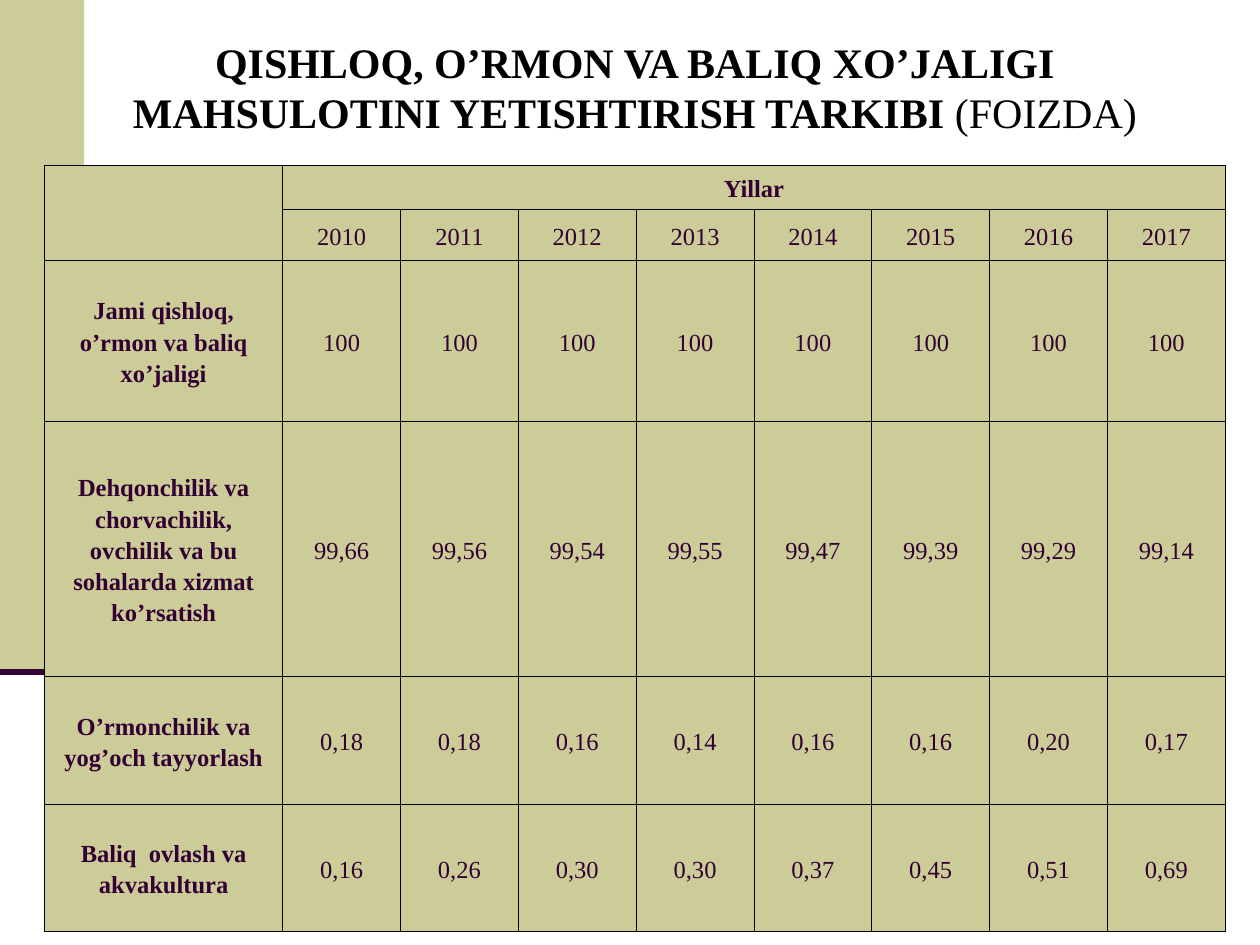
import lxml.etree
import pptx
import pptx.dml.color
import pptx.enum.shapes
import pptx.enum.text
import pptx.oxml
import pptx.oxml.ns
import pptx.util

Cm = pptx.util.Cm
Pt = pptx.util.Pt
ALIGN = pptx.enum.text.PP_ALIGN
ANCHOR = pptx.enum.text.MSO_ANCHOR

COLOURS = {"sand": "CCCC99", "plum": "330033", "black": "000000"}
FONT = "Times New Roman"
TITLE = [
    ("QISHLOQ, O’RMON VA BALIQ XO’JALIGI MAHSULOTINI YETISHTIRISH TARKIBI ", True),
    ("(FOIZDA)", False),
]
YEARS = [str(year) for year in range(2010, 2018)]
SECTORS = {
    "Jami qishloq, o’rmon va baliq xo’jaligi": ["100"] * len(YEARS),
    "Dehqonchilik va chorvachilik, ovchilik va bu sohalarda xizmat ko’rsatish":
        ["99,66", "99,56", "99,54", "99,55", "99,47", "99,39", "99,29", "99,14"],
    "O’rmonchilik va yog’och tayyorlash":
        ["0,18", "0,18", "0,16", "0,14", "0,16", "0,16", "0,20", "0,17"],
    "Baliq  ovlash va akvakultura":
        ["0,16", "0,26", "0,30", "0,30", "0,37", "0,45", "0,51", "0,69"],
}
ROW_HEIGHTS = [0.69, 0.69, 3.23, 5.16, 2.57, 2.57]
SECTOR_WIDTH = 4.8
CELL_FORMAT = {
    "vertical_anchor": ANCHOR.MIDDLE,
    "margin_left": Cm(0.18), "margin_right": Cm(0.18),
    "margin_top": Cm(0.13), "margin_bottom": Cm(0.13),
}
TITLE_FORMAT = {
    "word_wrap": True,
    "auto_size": pptx.enum.text.MSO_AUTO_SIZE.SHAPE_TO_FIT_TEXT,
    "vertical_anchor": ANCHOR.MIDDLE,
}


def rgb(name):
    """Return the named colour."""
    return pptx.dml.color.RGBColor.from_string(COLOURS[name])


def apply_format(target, values):
    """Set each attribute of the target from a dict."""
    for attribute, value in values.items():
        setattr(target, attribute, value)


def add_run(paragraph, text, size, colour, bold):
    """Append one formatted run to a paragraph."""
    run = paragraph.add_run()
    run.text = text
    apply_format(run.font, {"name": FONT, "size": Pt(size), "bold": bold})
    run.font.color.rgb = rgb(colour)


def add_border(cell):
    """Draw a thin black line on all four sides of a cell."""
    properties = cell._tc.get_or_add_tcPr()
    for side in ("lnL", "lnR", "lnT", "lnB"):
        properties.append(pptx.oxml.parse_xml(
            f'<a:{side} {pptx.oxml.ns.nsdecls("a")} w="{Pt(0.45)}"><a:solidFill>'
            f'<a:srgbClr val="{COLOURS["black"]}"/></a:solidFill></a:{side}>'))


def add_side_band(slide, left, top, width, height):
    """Place the sand band and the plum rule along its foot."""
    band = slide.shapes.add_shape(
        pptx.enum.shapes.MSO_SHAPE.RECTANGLE, Cm(left), Cm(top), Cm(width), Cm(height))
    band.shadow.inherit = False
    band.fill.solid()
    band.fill.fore_color.rgb = rgb("sand")
    band.line.fill.background()
    foot = Cm(top + height)
    rule = slide.shapes.add_connector(
        pptx.enum.shapes.MSO_CONNECTOR.STRAIGHT, Cm(left), foot, Cm(left + width), foot)
    rule.line.color.rgb = rgb("plum")
    rule.line.width = Pt(3.5)
    lxml.etree.SubElement(rule._element.spPr, pptx.oxml.ns.qn("a:effectLst"))


def add_title(slide, left, top, width, height):
    """Place the centred heading."""
    heading = slide.shapes.add_textbox(Cm(left), Cm(top), Cm(width), Cm(height)).text_frame
    apply_format(heading, TITLE_FORMAT)
    paragraph = heading.paragraphs[0]
    paragraph.alignment = ALIGN.CENTER
    for text, bold in TITLE:
        add_run(paragraph, text, 24, "black", bold)


def fill_cell(cell, text, bold):
    """Format one table cell and write its text."""
    add_border(cell)
    cell.fill.solid()
    cell.fill.fore_color.rgb = rgb("sand")
    apply_format(cell, CELL_FORMAT)
    paragraph = cell.text_frame.paragraphs[0]
    apply_format(paragraph, {"alignment": ALIGN.CENTER, "line_spacing": 1.15})
    if text:
        add_run(paragraph, text, 14, "plum", bold)


def add_shares_table(slide, left, top, width, height):
    """Place the table of sector shares by year."""
    rows = [["", "Yillar"] + [""] * (len(YEARS) - 1), [""] + YEARS]
    rows += [[sector] + shares for sector, shares in SECTORS.items()]
    shares_table = slide.shapes.add_table(
        len(rows), len(YEARS) + 1, Cm(left), Cm(top), Cm(width), Cm(height)).table
    apply_format(shares_table, {"first_row": False, "horz_banding": False})
    year_width = (width - SECTOR_WIDTH) / len(YEARS)
    for index, column in enumerate(shares_table.columns):
        column.width = Cm(year_width if index else SECTOR_WIDTH)
    for row, row_height in zip(shares_table.rows, ROW_HEIGHTS):
        row.height = Cm(row_height)
    for r, texts in enumerate(rows):
        for c, text in enumerate(texts):
            fill_cell(shares_table.cell(r, c), text, r == 0 or c == 0)
    shares_table.cell(0, 0).merge(shares_table.cell(1, 0))
    shares_table.cell(0, 1).merge(shares_table.cell(0, len(YEARS)))


def main():
    """Build and save the slide."""
    deck = pptx.Presentation()
    apply_format(deck, {"slide_width": Cm(25.4), "slide_height": Cm(19.05)})
    slide = deck.slides.add_slide(deck.slide_layouts[6])
    add_side_band(slide, 0, 0, 1.7, 13.55)
    add_shares_table(slide, 0.9, 3.33, 23.8, sum(ROW_HEIGHTS))
    add_title(slide, 1.3, 0.6, 23, 2.3)
    deck.save("out.pptx")


if __name__ == "__main__":
    main()
